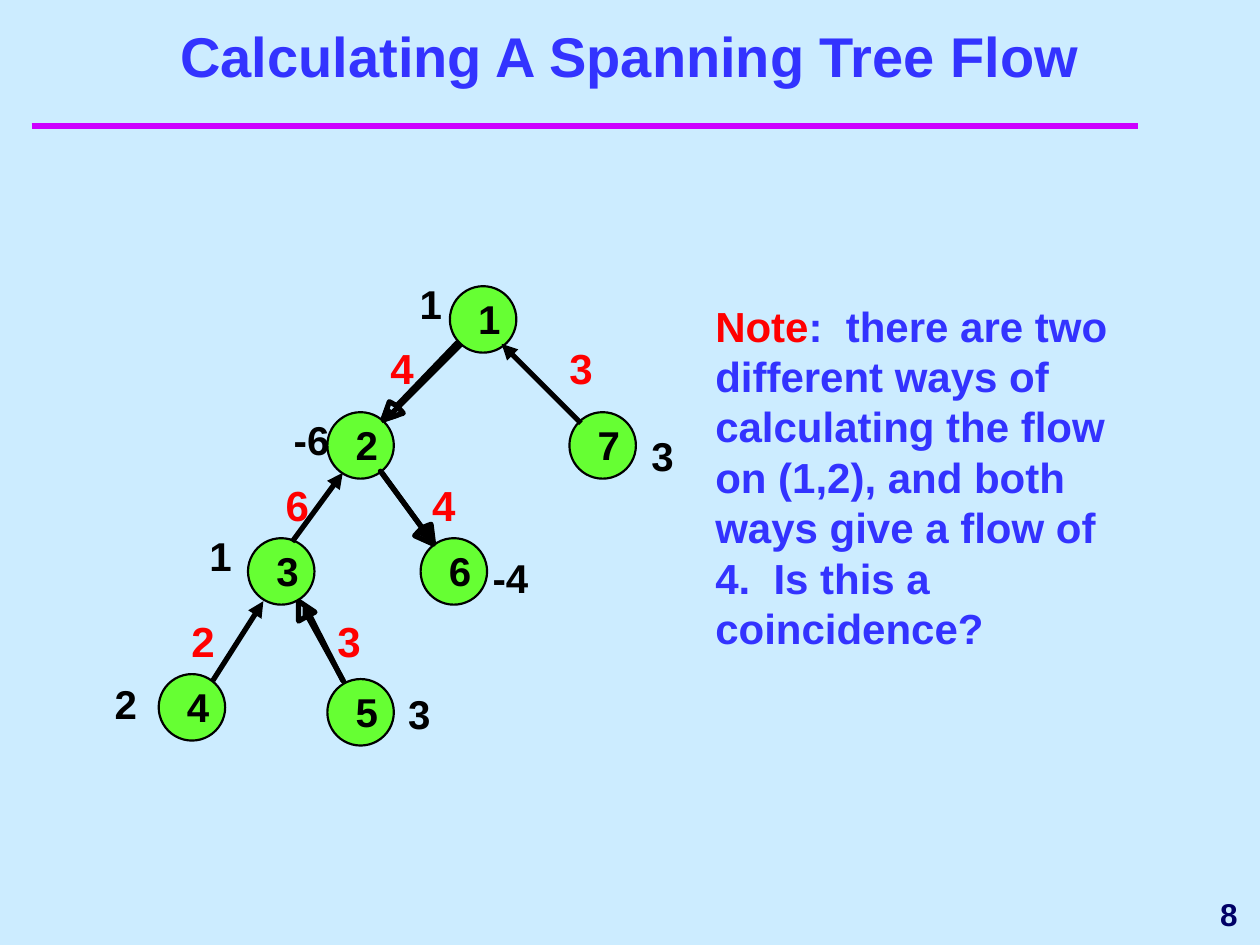
from pptx import Presentation
from pptx.dml.color import RGBColor
from pptx.enum.shapes import MSO_CONNECTOR, MSO_SHAPE
from pptx.enum.text import MSO_ANCHOR, PP_ALIGN
from pptx.oxml.ns import qn
from pptx.util import Cm, Pt
from lxml.etree import SubElement

BLACK, RED, BLUE = "000000", "FF0000", "3333FF"


def color(target, value):
    """Give a font, line or solid fill its hex colour."""
    holder = target.color if hasattr(target, "color") else target.fore_color
    holder.rgb = RGBColor.from_string(value)


def write(text, left, top, width, height, size=23, ink=BLACK, lead="", align=PP_ALIGN.LEFT,
          anchor=MSO_ANCHOR.TOP, inset=(0.25, 0.13), wrap=True):
    """Add bold text in a box; lead is a red opening run."""
    frame = slide.shapes.add_textbox(Cm(left), Cm(top), Cm(width), Cm(height)).text_frame
    frame.word_wrap = wrap
    frame.vertical_anchor = anchor
    frame.margin_left = frame.margin_right = Cm(inset[0])
    frame.margin_top = frame.margin_bottom = Cm(inset[1])
    paragraph = frame.paragraphs[0]
    paragraph.alignment = align
    for words, shade in ((lead, RED), (text, ink)):
        if words:
            run = paragraph.add_run()
            run.text = words
            run.font.name, run.font.size, run.font.bold = "Arial", Pt(size), True
            color(run.font, shade)


presentation = Presentation()
presentation.slide_width, presentation.slide_height = Cm(25.4), Cm(19.05)
slide = presentation.slides.add_slide(presentation.slide_layouts[6])
slide.background.fill.solid()
color(slide.background.fill, "CCECFF")

write("Calculating A Spanning Tree Flow", 0, 0.84, 25.4, 1.07, size=32, ink=BLUE,
      align=PP_ALIGN.CENTER, anchor=MSO_ANCHOR.BOTTOM)

# Node: circle left and top, then its supply with left and top
nodes = {
    "1": (9.07, 5.77, "1", 8.46, 5.64),
    "2": (6.6, 8.31, "-6", 5.92, 8.38),
    "3": (5.0, 10.85, "1", 4.22, 10.72),
    "4": (3.2, 13.59, "2", 2.31, 13.69),
    "5": (6.6, 13.69, "3", 8.23, 13.89),
    "6": (8.48, 10.85, "-4", 9.93, 11.15),
    "7": (11.48, 8.31, "3", 13.13, 8.69),
}
for number, (left, top, supply, supply_left, supply_top) in nodes.items():
    circle = slide.shapes.add_shape(MSO_SHAPE.OVAL, Cm(left), Cm(top), Cm(1.34), Cm(1.34))
    circle.shadow.inherit = False
    circle.fill.solid()
    color(circle.fill, "66FF33")
    color(circle.line, BLACK)
    circle.line.width = Pt(1.25)
    write(number, left + 0.57, top + 0.16, 0.46, 0.97, inset=(0, 0), wrap=False)
    write(supply, supply_left, supply_top, 0.46 if len(supply) == 1 else 0.74, 0.97,
          inset=(0, 0), wrap=False)

# Small outlined arrows that lie under three of the arcs
arc_outlines = [
    [(9.22, 6.91), (8, 8.18), (7.85, 8.1), (7.72, 8.46), (8.13, 8.33), (8, 8.18)],
    [(6.93, 13.74), (6.2, 12.42), (6.35, 12.34), (6.02, 12.12), (6.02, 12.52), (6.2, 12.42)],
    [(7.67, 9.5), (8.51, 10.64), (8.36, 10.8), (8.74, 10.97), (8.69, 10.57), (8.51, 10.64)],
]
for outline in arc_outlines:
    start, *rest = [(Cm(x), Cm(y)) for x, y in outline]
    builder = slide.shapes.build_freeform(*start)
    builder.add_line_segments(rest, close=True)
    arc_outline = builder.convert_to_shape()
    arc_outline.shadow.inherit = False
    arc_outline.fill.background()
    color(arc_outline.line, BLACK)
    arc_outline.line.width = Pt(3)

write(":  there are two different ways of calculating the flow on (1,2), and both ways "
      "give a flow of 4.  Is this a coincidence?",
      14.17, 5.92, 8.89, 7.37, size=24, ink=BLUE, lead="Note")

flows = [("2", 3.61, 12.27), ("3", 6.55, 12.27), ("6", 5.51, 9.53),
         ("4", 8.46, 9.53), ("4", 7.62, 6.78), ("3", 11.23, 6.78)]
for flow, left, top in flows:
    write(flow, left, top, 1.47, 1.27, size=24, ink=RED)

# Title rule first, then the arcs: start, end, colour, width, arrowhead
lines = [((0.64, 2.54), (22.94, 2.54), "CC00FF", 4, False)]
arcs = [((6.91, 13.72), (6.1, 12.12)), ((7.7, 9.53), (8.71, 10.92)),
        ((11.71, 8.53), (10.11, 6.93)), ((9.3, 6.93), (7.7, 8.53)),
        ((5.89, 10.92), (6.91, 9.53)), ((4.29, 13.72), (5.31, 12.12))]
lines += [(start, end, BLACK, 3, True) for start, end in arcs]
for start, end, shade, width, has_head in lines:
    line = slide.shapes.add_connector(MSO_CONNECTOR.STRAIGHT, *map(Cm, start + end))
    color(line.line, shade)
    line.line.width = Pt(width)
    if has_head:
        SubElement(line.line._get_or_add_ln(), qn("a:tailEnd"), type="triangle")
    SubElement(line._element.spPr, qn("a:effectLst"))

write("8", 20.32, 17.78, 4.88, 1.27, size=18, ink="000066", align=PP_ALIGN.RIGHT,
      anchor=MSO_ANCHOR.MIDDLE)

presentation.save("out.pptx")
